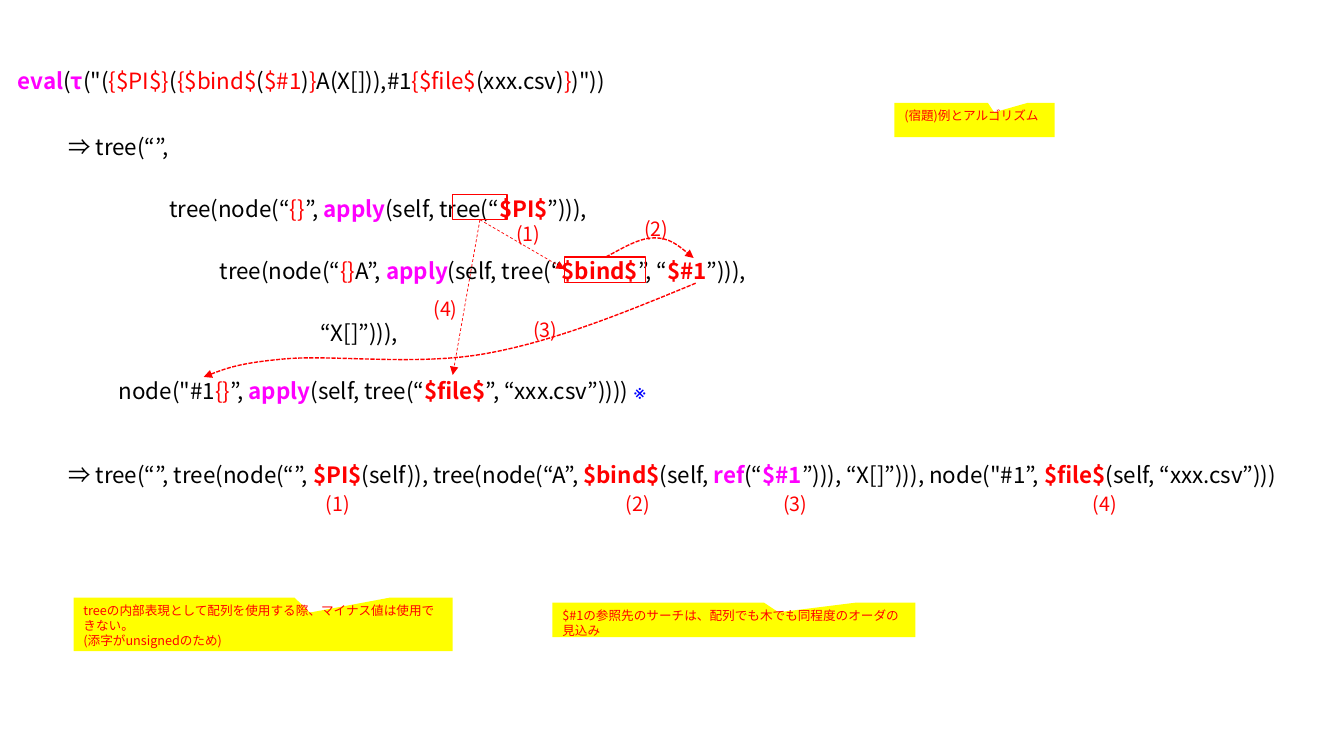
from dataclasses import dataclass

from lxml import etree
from pptx import Presentation
from pptx import util as u
from pptx.dml.color import RGBColor
from pptx.enum import dml, shapes, text
from pptx.oxml.ns import qn

COLORS = {
    "black": "000000",
    "red": "FF0000",
    "magenta": "FF00FF",
    "blue": "0000FF",
    "yellow": "FFFF00",
}
FONT = "Noto Sans CJK JP"


@dataclass
class Run:
    text: str
    color: str = "black"
    bold: bool = False
    font: str = FONT


@dataclass
class CodeLine:
    indent: float
    space_before: float
    runs: list[Run]


@dataclass
class Callout:
    box: tuple[float, float, float, float]
    lines: list[str]


def red(content: str) -> Run:
    return Run(content, "red")


def command(content: str) -> Run:
    return Run(content, "red", True)


def keyword(content: str) -> Run:
    return Run(content, "magenta", True)


APPLY = [keyword("apply"), Run("(self, tree(“")]

CODE_LINES = [
    CodeLine(0, 0, [
        keyword("eval"), Run("("), keyword("τ"), Run('("('), red("{$PI$}"), Run("("),
        red("{$bind$"), Run("("), red("$#1"), Run(")"), red("}"), Run("A(X[])),#1"),
        red("{$file$"), Run("(xxx.csv)"), red("}"), Run(')"))')]),
    CodeLine(0.5, 28, [Run("⇒ tree(“”,")]),
    CodeLine(1.5, 25, [
        Run("tree(node(“"), red("{}"), Run("”, "), *APPLY, command("$PI$"), Run("”))),")]),
    CodeLine(2, 25, [
        Run("tree(node(“"), red("{}"), Run("A”, "), *APPLY, command("$bind$"),
        Run("”, “"), command("$#1"), Run("”))),")]),
    CodeLine(3, 25, [Run("“X[]”))),")]),
    CodeLine(1, 22, [
        Run('node("#1'), red("{}"), Run("”, "), *APPLY, command("$file$"),
        Run("”, “xxx.csv”)))) "), Run("※", "blue", font="Arial")]),
    CodeLine(0.5, 41, [
        Run("⇒ tree(“”, tree(node(“”, "), command("$PI$"), Run("(self)), tree(node(“A”, "),
        command("$bind$"), Run("(self, "), keyword("ref"), Run("(“"), keyword("$#1"),
        Run('”))), “X[]”))), node("#1”, '), command("$file$"), Run("(self, “xxx.csv”)))")]),
]

COMMAND_FRAMES = [(4.49, 1.93, 0.54, 0.25), (5.6, 2.55, 0.8, 0.25)]
PI_BOTTOM = (4.76, 2.18)
STRAIGHT_ARROW_ENDS = [(5.6, 2.67), (4.49, 3.72)]
CURVED_ARROWS = [
    [(6.01, 2.55), (6.18, 2.46), (6.34, 2.36), (6.49, 2.36),
     (6.64, 2.36), (6.76, 2.46), (6.88, 2.56)],
    [(6.9, 2.81), (6.2, 3.1), (5.49, 3.39), (4.81, 3.51), (4.14, 3.63),
     (3.31, 3.52), (2.84, 3.56), (2.38, 3.6), (2.2, 3.67), (2.02, 3.74)],
]
STEP_LABELS = {
    "(1)": [(5.02, 2.15), (3.13, 4.83)],
    "(2)": [(6.29, 2.1), (6.11, 4.83)],
    "(3)": [(5.19, 3.1), (7.67, 4.83)],
    "(4)": [(4.2, 2.9), (10.74, 4.83)],
}
CALLOUTS = [
    Callout((0.73, 5.93, 3.76, 0.53), [
        "treeの内部表現として配列を使用する際、マイナス値は使用できない。",
        "(添字がunsignedのため)"]),
    Callout((5.48, 5.98, 3.6, 0.34), [
        "$#1の参照先のサーチは、配列でも木でも同程度のオーダの見込み"]),
    Callout((8.87, 1.02, 1.59, 0.34), ["(宿題)例とアルゴリズム"]),
]


def rgb(name: str) -> RGBColor:
    return RGBColor.from_string(COLORS[name])


def inches(values) -> list[u.Length]:
    return [u.Inches(value) for value in values]


def write_lines(frame, lines: list[CodeLine], size: float) -> None:
    frame.word_wrap = True
    frame.vertical_anchor = text.MSO_ANCHOR.TOP
    for index, line in enumerate(lines):
        paragraph = frame.paragraphs[0] if index == 0 else frame.add_paragraph()
        paragraph.alignment = text.PP_ALIGN.LEFT
        paragraph.space_before = u.Pt(line.space_before)
        paragraph._p.get_or_add_pPr().set("marL", str(u.Inches(line.indent)))
        for item in line.runs:
            run = paragraph.add_run()
            run.text = item.text
            run.font.size = u.Pt(size)
            run.font.bold = item.bold
            run.font.color.rgb = rgb(item.color)
            run.font.name = item.font
            east_asian = etree.SubElement(run._r.get_or_add_rPr(), qn("a:ea"))
            east_asian.set("typeface", item.font)


def add_text(slide, box, lines: list[CodeLine], size: float) -> None:
    write_lines(slide.shapes.add_textbox(*inches(box)).text_frame, lines, size)


def style_arrow(shape, width: float, dash) -> None:
    shape.line.color.rgb = rgb("red")
    shape.line.width = u.Pt(width)
    shape.line.dash_style = dash
    properties = shape._element.spPr
    outline = properties.find(qn("a:ln"))
    etree.SubElement(outline, qn("a:tailEnd")).set("type", "triangle")
    etree.SubElement(properties, qn("a:effectLst"))


def add_straight_arrow(slide, start, end) -> None:
    arrow = slide.shapes.add_connector(
        shapes.MSO_CONNECTOR.STRAIGHT, *inches(start), *inches(end))
    style_arrow(arrow, 0.5, dml.MSO_LINE.DASH)


def add_curved_arrow(slide, points) -> None:
    """Treat every three points after the start as one cubic Bézier segment."""
    start, *controls = [inches(point) for point in points]
    builder = slide.shapes.build_freeform(*start)
    builder.add_line_segments(controls, close=False)
    arrow = builder.convert_to_shape()
    segments = list(arrow._element.iter(qn("a:lnTo")))
    outline = segments[0].getparent()
    for first in range(0, len(segments), 3):
        curve = etree.SubElement(outline, qn("a:cubicBezTo"))
        for segment in segments[first:first + 3]:
            curve.append(segment[0])
            outline.remove(segment)
    arrow.fill.background()
    style_arrow(arrow, 1, dml.MSO_LINE.SQUARE_DOT)


def add_command_frame(slide, box) -> None:
    frame = slide.shapes.add_shape(shapes.MSO_SHAPE.RECTANGLE, *inches(box))
    frame.shadow.inherit = False
    frame.fill.background()
    frame.line.color.rgb = rgb("red")
    frame.line.width = u.Pt(1)


def add_callout(slide, callout: Callout) -> None:
    shape = slide.shapes.add_shape(
        shapes.MSO_SHAPE.RECTANGULAR_CALLOUT, *inches(callout.box))
    shape.adjustments[0], shape.adjustments[1] = 0.123, -0.221
    shape.shadow.inherit = False
    shape.fill.solid()
    shape.fill.fore_color.rgb = rgb("yellow")
    shape.line.fill.background()
    write_lines(shape.text_frame, [CodeLine(0, 0, [red(line)]) for line in callout.lines], 9)


def main() -> None:
    presentation = Presentation()
    presentation.slide_width, presentation.slide_height = inches((13.33, 7.5))
    slide = presentation.slides.add_slide(presentation.slide_layouts[6])
    add_text(slide, (0.08, 0.62, 13.17, 4.33), CODE_LINES, 16)
    for box in COMMAND_FRAMES:
        add_command_frame(slide, box)
    for end in STRAIGHT_ARROW_ENDS:
        add_straight_arrow(slide, PI_BOTTOM, end)
    for points in CURVED_ARROWS:
        add_curved_arrow(slide, points)
    for label, positions in STEP_LABELS.items():
        for position in positions:
            add_text(slide, (*position, 0.59, 0.34), [CodeLine(0, 0, [red(label)])], 14)
    for callout in CALLOUTS:
        add_callout(slide, callout)
    presentation.save("out.pptx")


if __name__ == "__main__":
    main()
